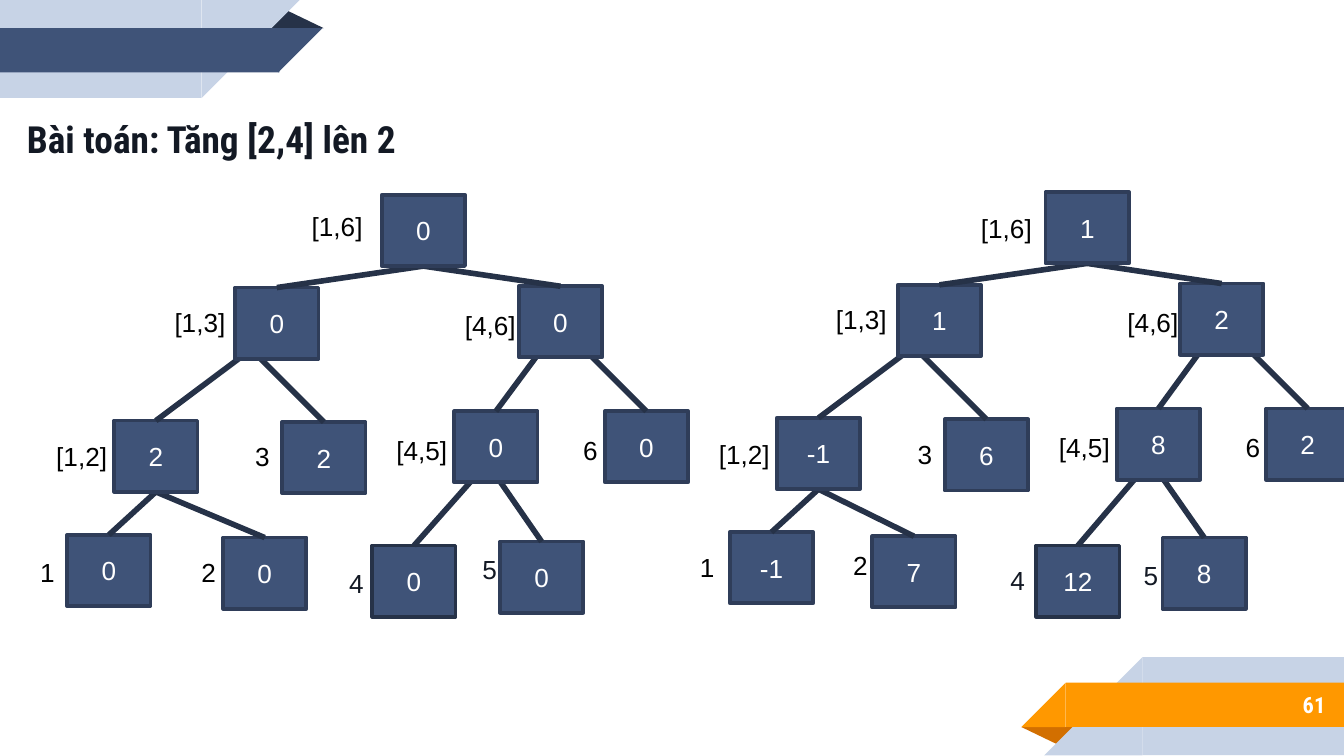
import pptx
import pptx.util
import pptx.dml.color
import pptx.enum.shapes
import pptx.enum.text
import pptx.oxml
import pptx.oxml.ns

RGB = pptx.dml.color.RGBColor
SHAPE = pptx.enum.shapes.MSO_SHAPE
ALIGN = pptx.enum.text.PP_ALIGN
MIDDLE = pptx.enum.text.MSO_ANCHOR.MIDDLE
inches = pptx.util.Inches

NAVY, BORDER, DARK = RGB(0x3F, 0x53, 0x78), RGB(0x2F, 0x3D, 0x59), RGB(0x26, 0x32, 0x48)
PALE, ORANGE, RUST = RGB(0xC7, 0xD3, 0xE6), RGB(0xFF, 0x98, 0x00), RGB(0xD2, 0x6F, 0x00)
INK, BLACK, WHITE = RGB(0x13, 0x19, 0x24), RGB(0, 0, 0), RGB(255, 255, 255)

TITLE = "Bài toán: Tăng [2,4] lên 2"
PAGE_NUMBER = "61"
WIDTH = 10
HEIGHT = WIDTH * 9 / 16
NODE_W, NODE_H = 0.62, 0.53

TITLE_FONT = {"name": "Roboto Condensed", "size": pptx.util.Pt(20), "bold": True}
NUMBER_FONT = {"name": "Roboto Condensed", "size": pptx.util.Pt(12), "bold": True}
NODE_FONT = {"name": "Arial", "size": pptx.util.Pt(14)}

# Children before parents; each edge ends at an offset inside the parent,
# or at the middle of the parent's bottom side when the offset is None
CHILDREN = {
    "1": {}, "2": {}, "3": {}, "4": {}, "5": {}, "6": {},
    "[1,2]": {"1": None, "2": None},
    "[1,3]": {"[1,2]": (0.24, 0.37), "3": (0.05, 0.39)},
    "[4,5]": {"4": (0.48, 0.12), "5": (0.09, 0.16)},
    "[4,6]": {"[4,5]": (0.46, 0.08), "6": (0.1, 0.08)},
    "[1,6]": {"[1,3]": None, "[4,6]": None},
}

# Node: value, box left and top, label left and top
TREES = [
    {
        "1": ("-1", 5.43, 3.96, 5.11, 4.05),
        "2": ("7", 6.49, 3.99, 6.25, 4.04),
        "3": ("6", 7.03, 3.12, 6.73, 3.21),
        "4": ("12", 7.71, 4.06, 7.42, 4.15),
        "5": ("8", 8.65, 4, 8.41, 4.11),
        "6": ("2", 9.42, 3.04, 9.17, 3.16),
        "[1,2]": ("-1", 5.78, 3.11, 5.25, 3.21),
        "[1,3]": ("1", 6.68, 2.12, 6.12, 2.21),
        "[4,5]": ("8", 8.31, 3.04, 7.78, 3.16),
        "[4,6]": ("2", 8.78, 2.11, 8.29, 2.23),
        "[1,6]": ("1", 7.78, 1.43, 7.2, 1.53),
    },
    {
        "1": ("0", 0.5, 3.98, 0.2, 4.09),
        "2": ("0", 1.66, 4, 1.4, 4.09),
        "3": ("2", 2.1, 3.14, 1.8, 3.23),
        "4": ("0", 2.77, 4.06, 2.5, 4.17),
        "5": ("0", 3.72, 4.03, 3.49, 4.07),
        "6": ("0", 4.5, 3.06, 4.24, 3.18),
        "[1,2]": ("2", 0.85, 3.13, 0.32, 3.23),
        "[1,3]": ("0", 1.75, 2.14, 1.2, 2.23),
        "[4,5]": ("0", 3.38, 3.06, 2.85, 3.18),
        "[4,6]": ("0", 3.86, 2.13, 3.36, 2.25),
        "[1,6]": ("0", 2.84, 1.45, 2.22, 1.52),
    },
]

# Ribbons: preset, left, top, width, height, rotation, fill
RIBBONS = [
    [
        (SHAPE.ISOSCELES_TRIANGLE, 1.98, 0.07, 0.43, 0.14, 0, DARK),
        (SHAPE.RECTANGLE, 0, 0, 1.5, 0.73, 0, PALE),
        (SHAPE.RIGHT_TRIANGLE, 1.5, 0, 0.73, 0.73, 90, PALE),
        (SHAPE.RECTANGLE, 0, 0.21, 2.08, 0.33, 0, NAVY),
        (SHAPE.RIGHT_TRIANGLE, 2.07, 0.21, 0.33, 0.33, 90, NAVY),
    ],
    [
        (SHAPE.ISOSCELES_TRIANGLE, 7.6, 5.41, 0.43, 0.14, 180, RUST),
        (SHAPE.RECTANGLE, 8.5, 4.89, 1.5, 0.73, 0, PALE),
        (SHAPE.RIGHT_TRIANGLE, 7.77, 4.89, 0.73, 0.73, 270, PALE),
        (SHAPE.RECTANGLE, 7.93, 5.08, 2.08, 0.33, 0, ORANGE),
        (SHAPE.RIGHT_TRIANGLE, 7.6, 5.08, 0.33, 0.33, 270, ORANGE),
    ],
]


def write(shape, text, font, color, align=ALIGN.LEFT, **frame_format):
    frame = shape.text_frame
    for name, value in {"word_wrap": True, **frame_format}.items():
        setattr(frame, name, value)
    para = frame.paragraphs[0]
    para.alignment = align
    span = para.add_run()
    span.text = text
    for name, value in font.items():
        setattr(span.font, name, value)
    span.font.color.rgb = color


def add_ribbon(page, pieces):
    group = page.shapes.add_group_shape()
    for preset, left, top, width, height, rotation, fill in pieces:
        piece = group.shapes.add_shape(preset, *map(inches, (left, top, width, height)))
        piece.shadow.inherit = False
        piece.rotation = rotation
        piece.fill.solid()
        piece.fill.fore_color.rgb = fill
        piece.line.fill.background()
        if preset == SHAPE.ISOSCELES_TRIANGLE:
            piece.adjustments[0] = 0.324


def add_edge(page, child, end):
    edge = page.shapes.add_connector(
        pptx.enum.shapes.MSO_CONNECTOR.STRAIGHT, 0, 0, *map(inches, end))
    edge.begin_connect(child, 0)
    edge.line.color.rgb = DARK
    edge.line.width = pptx.util.Pt(3)
    edge._element.spPr.append(pptx.oxml.parse_xml(
        f"<a:effectLst {pptx.oxml.ns.nsdecls('a')}/>"))
    return edge


def add_node(page, key, value, left, top):
    box = page.shapes.add_shape(
        SHAPE.RECTANGLE, *map(inches, (left, top, NODE_W, NODE_H)))
    box.shadow.inherit = False
    box.fill.solid()
    box.fill.fore_color.rgb = NAVY
    box.line.color.rgb = DARK if key == "4" else BORDER
    box.line.width = pptx.util.Pt(2)
    write(box, value, NODE_FONT, WHITE, ALIGN.CENTER, vertical_anchor=MIDDLE)
    return box


def add_tree(page, nodes):
    boxes = {}
    # Edges go under their parent box
    for key, children in CHILDREN.items():
        value, left, top, _, _ = nodes[key]
        joined = []
        for child, offset in children.items():
            dx, dy = offset or (NODE_W / 2, NODE_H)
            edge = add_edge(page, boxes[child], (left + dx, top + dy))
            if offset is None:
                joined.append(edge)
        boxes[key] = add_node(page, key, value, left, top)
        for edge in joined:
            edge.end_connect(boxes[key], 2)
    # Range labels
    for key, (_, _, _, left, top) in nodes.items():
        width = 0.62 if key.startswith("[") else 0.29
        label = page.shapes.add_textbox(*map(inches, (left, top, width, 0.34)))
        write(label, key, NODE_FONT, INK if key in ("4", "5") else BLACK)


def main():
    deck = pptx.Presentation()
    deck.slide_width, deck.slide_height = inches(WIDTH), inches(HEIGHT)
    page = deck.slides.add_slide(deck.slide_layouts[5])
    margins = dict.fromkeys(
        ("margin_left", "margin_top", "margin_right", "margin_bottom"), inches(0.1))

    for pieces in RIBBONS:
        add_ribbon(page, pieces)

    # Title and page number
    title = page.shapes.title
    title.left, title.top, title.width, title.height = map(inches, (0.1, 0.61, 5.75, 0.84))
    write(title, TITLE, TITLE_FONT, INK, vertical_anchor=MIDDLE, **margins)
    number = page.shapes.add_textbox(*map(inches, (8.33, 5.07, 1.63, 0.35)))
    write(number, PAGE_NUMBER, NUMBER_FONT, WHITE, ALIGN.RIGHT,
          vertical_anchor=MIDDLE, **margins)

    for nodes in TREES:
        add_tree(page, nodes)
    deck.save("out.pptx")


if __name__ == "__main__":
    main()
